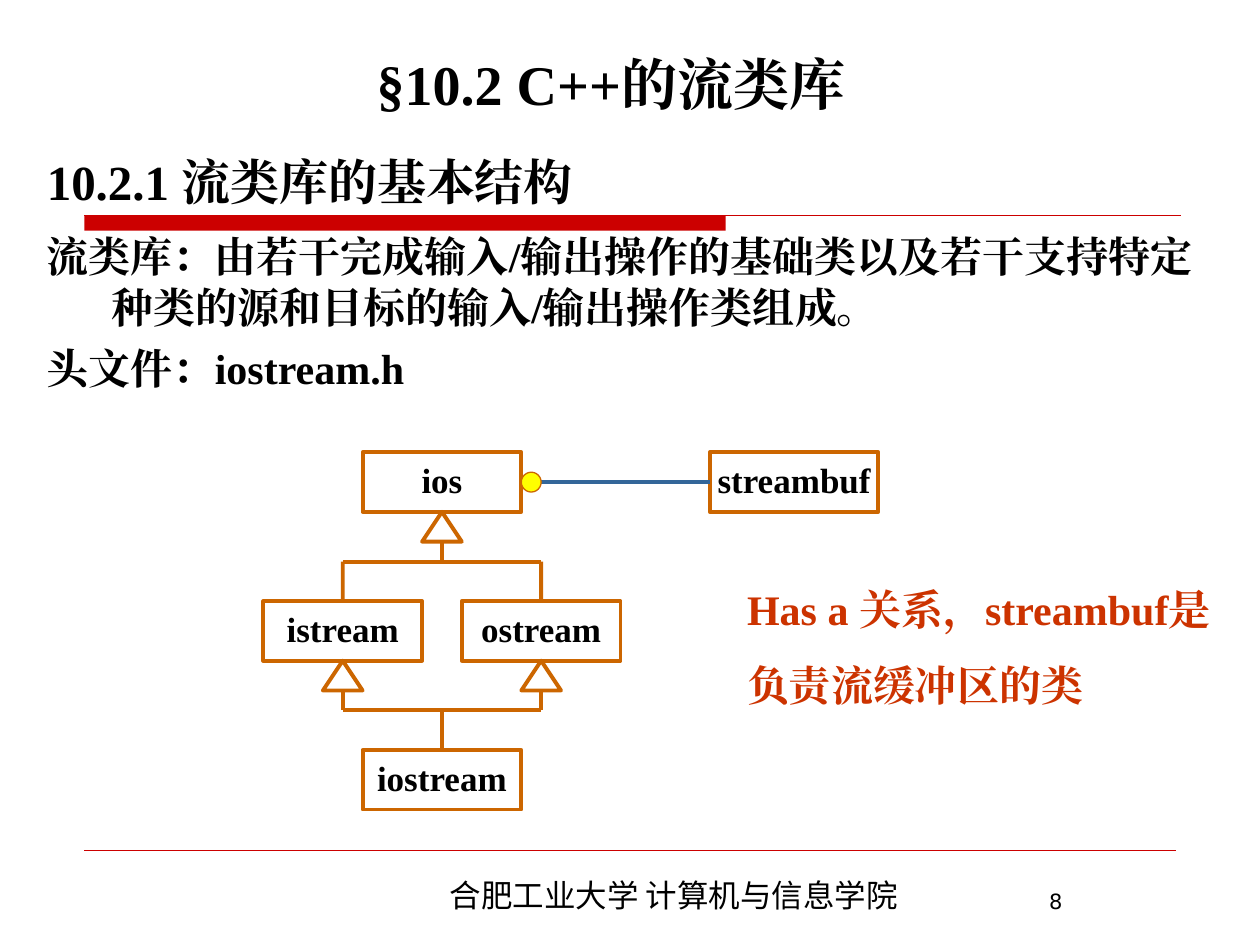
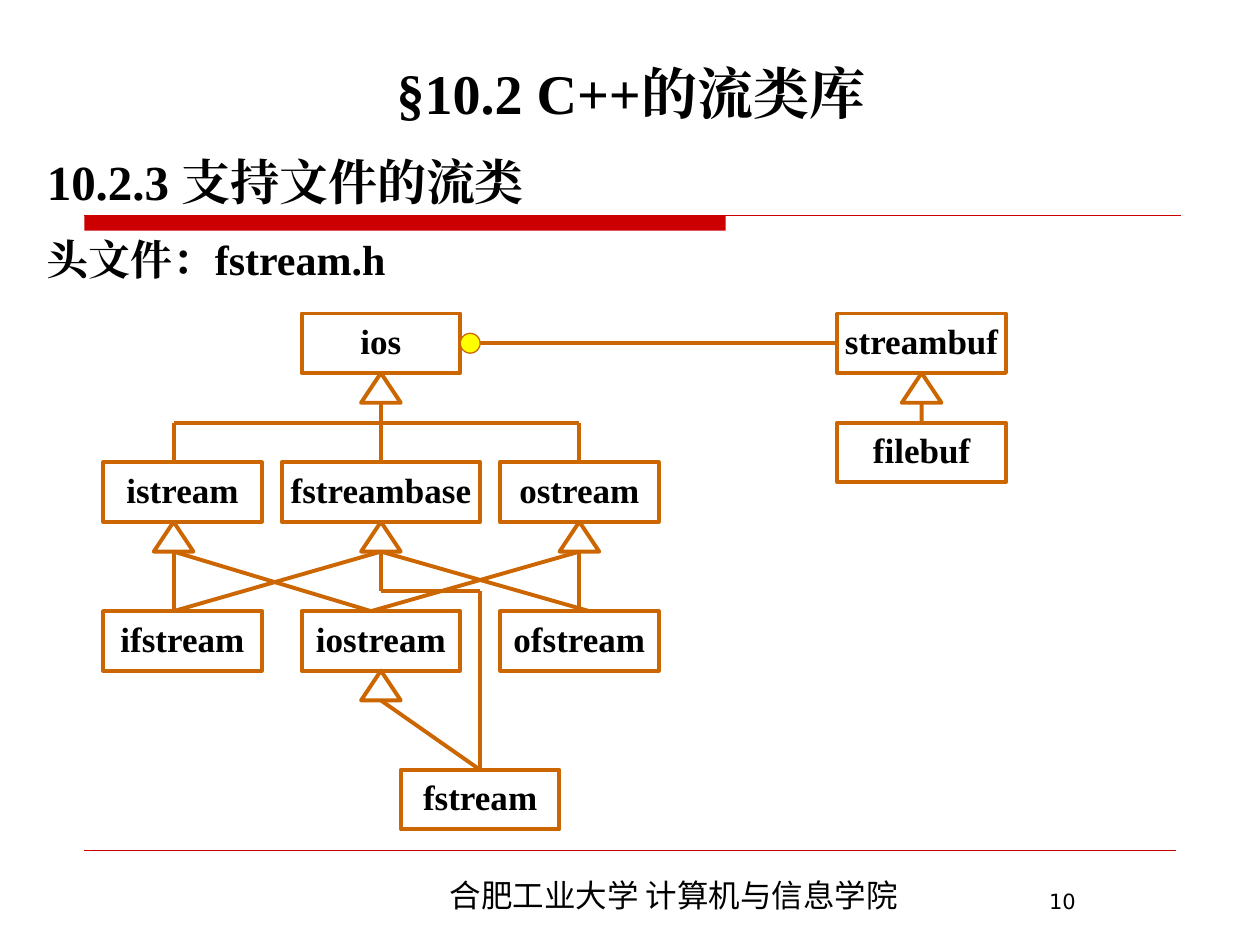
from dataclasses import dataclass
from lxml.etree import SubElement
from pptx import Presentation
from pptx.dml.color import RGBColor
from pptx.enum.shapes import MSO_CONNECTOR as Wire, MSO_SHAPE as Kind
from pptx.enum.text import MSO_ANCHOR as Anchor, MSO_AUTO_SIZE as Fit, PP_ALIGN as Align
from pptx.oxml.ns import qn
from pptx.slide import Slide
from pptx.util import Cm, Pt

SERIF, SANS, DIGIT = "Times New Roman", "Noto Sans CJK SC", "DejaVu Sans"
BLACK, RED, BROWN, BLUE = "000000", "CC0000", "CC6600", "336699"
YELLOW, RUST = "FFFF00", "CC3300"
WIDE, HIGH = 3.2, 1.2
TITLE = "§10.2 C++的流类库"


def tint(code):
    return RGBColor.from_string(code)


def cms(*sizes):
    return [Cm(size) for size in sizes]


def text(frame, words, size=24, color=BLACK, bold=True, font=SERIF,
         align=Align.LEFT, before=0, line=None, hang=0, first=True):
    para = frame.paragraphs[0] if first else frame.add_paragraph()
    if hang:
        props = para._p.get_or_add_pPr()
        props.set("marL", str(Cm(hang)))
        props.set("indent", str(-Cm(hang)))
        SubElement(props, qn("a:buNone"))
    para.alignment = align
    para.space_before = Pt(before)
    if line:
        para.line_spacing = line
    run = para.add_run()
    run.text = words
    face = run.font
    face.size, face.bold, face.name = Pt(size), bold, font
    face.color.rgb = tint(color)
    SubElement(run._r.get_or_add_rPr(), qn("a:ea")).set("typeface", font)


def label(slide, box, words, **style):
    frame = slide.shapes.add_textbox(*cms(*box)).text_frame
    frame.word_wrap = True
    text(frame, words, **style)


def shape(slide, kind, box, fill=None, edge=BROWN, width=2.25):
    item = slide.shapes.add_shape(kind, *cms(*box))
    item.shadow.inherit = False
    if fill:
        item.fill.solid()
        item.fill.fore_color.rgb = tint(fill)
    else:
        item.fill.background()
    if edge:
        item.line.color.rgb = tint(edge)
        item.line.width = Pt(width)
    else:
        item.line.fill.background()
    return item


def rule(slide, start, end, color=BROWN, width=2.25):
    item = slide.shapes.add_connector(Wire.STRAIGHT, *cms(*start, *end))
    item.line.color.rgb = tint(color)
    item.line.width = Pt(width)
    SubElement(item._element.spPr, qn("a:effectLst"))
    return item


@dataclass
class Board:
    slide: Slide
    left: float
    top: float

    def place(self, x, y):
        return self.left + x, self.top + y

    def box(self, name, x, y, wide=WIDE):
        item = shape(self.slide, Kind.RECTANGLE, (*self.place(x, y), wide, HIGH))
        frame = item.text_frame
        frame.margin_left = frame.margin_right = 0
        frame.margin_top = frame.margin_bottom = 0
        frame.word_wrap = False
        frame.vertical_anchor = Anchor.MIDDLE
        text(frame, name, size=20, align=Align.CENTER, line=0.9)
        return item

    def tip(self, x, y):
        shape(self.slide, Kind.ISOSCELES_TRIANGLE, (*self.place(x - 0.4, y), 0.8, 0.6))
        return x, y + 0.6

    def wire(self, start, end, color=BROWN):
        ends = [e if isinstance(e[0], (int, float)) else (0, 0) for e in (start, end)]
        item = rule(self.slide, *[self.place(*e) for e in ends], color=color)
        for side, join in ((start, item.begin_connect), (end, item.end_connect)):
            if not isinstance(side[0], (int, float)):
                join(*side)

    def chain(self, *stops):
        for start, end in zip(stops, stops[1:]):
            self.wire(start, end)

    def owns(self, owner, part, x, color=BROWN):
        self.wire((part, 1), (owner, 3), color)
        dot = (*self.place(x, HIGH / 2 - 0.2), 0.4, 0.4)
        shape(self.slide, Kind.OVAL, dot, fill=YELLOW, width=0.75)


def page(deck, number, spot, tall, lines):
    slide = deck.slides.add_slide(deck.slide_layouts[1])
    shape(slide, Kind.RECTANGLE, (1.7, 4.34, 12.93, 0.31), fill=RED, edge=None)
    rule(slide, (1.7, 4.34), (23.8, 4.34), RED, 0.75)
    rule(slide, (1.7, 17.15), (23.7, 17.15), RED, 0.25)
    label(slide, (5.89, 17.53, 15.39, 1.02), "合肥工业大学 计算机与信息学院",
          size=18, bold=False, font=SANS, align=Align.CENTER)
    label(slide, (20.9, 17.78, 3.81, 0.74), number, size=12, bold=False, font=DIGIT)
    title, body = slide.placeholders
    for item, box in ((title, (*spot, 21.64, 1.96)), (body, (0.69, 2.92, 24.18, tall))):
        item.left, item.top, item.width, item.height = cms(*box)
        item.text_frame.auto_size = Fit.NONE
    title.text_frame.vertical_anchor = Anchor.BOTTOM
    text(title.text_frame, TITLE, size=32, align=Align.CENTER)
    body.text_frame.vertical_anchor = Anchor.TOP
    for rank, (words, size, before) in enumerate(lines):
        text(body.text_frame, words, size=size, before=before, hang=1.3, first=rank == 0)
    return slide


def basic(slide, left, top):
    board = Board(slide, left, top)
    ios = board.box("ios", 2, 0)
    kids = [board.box("istream", 0, 3), board.box("ostream", 4, 3)]
    both = board.box("iostream", 2, 6)
    buf = board.box("streambuf", 9, 0, 3.4)
    mids = (1.6, 5.6)
    board.wire(board.tip(3.6, 1.2), (3.6, 2.2))
    for y in (2.2, 5.2):
        board.wire((mids[0], y), (mids[1], y))
    for mid, kid in zip(mids, kids):
        board.wire((mid, 2.2), (kid, 0))
        board.wire(board.tip(mid, 4.2), (mid, 5.2))
    board.wire((3.6, 5.2), (both, 0))
    board.owns(ios, buf, 5.2, BLUE)


def files(slide, left, top):
    board = Board(slide, left, top)
    ios = board.box("ios", 4, 0)
    board.box("istream", 0, 3)
    base = board.box("fstreambase", 3.6, 3, 4)
    out = board.box("ostream", 8, 3)
    board.box("ifstream", 0, 6)
    board.box("iostream", 4, 6)
    save = board.box("ofstream", 8, 6)
    last = board.box("fstream", 6, 9.2)
    buf = board.box("streambuf", 14.8, 0, 3.4)
    store = board.box("filebuf", 14.8, 2.2, 3.4)
    low, mid, far = 1.42, 5.6, 9.6
    board.chain(board.tip(mid, 1.2), (mid, 2.2), (base, 0))
    board.chain((low, 3), (low, 2.2), (far, 2.2), (out, 0))
    feet = [board.tip(x, 4.2) for x in (low, mid, far)]
    board.chain((low, 6), feet[0], (5.4, 6), feet[2], (save, 0))
    board.chain((low, 6), feet[1], (9.8, 6))
    board.chain(feet[1], (mid, 5.6), (7.6, 5.6), (last, 0))
    board.wire(board.tip(mid, 7.2), (last, 0))
    board.wire(board.tip(16.5, 1.2), (store, 0))
    board.owns(ios, buf, 7.2)


def main():
    deck = Presentation()
    deck.slide_width, deck.slide_height = cms(25.4, 19.05)
    slide = page(deck, "8", (1.5, 0.53), 14.12, [
        ("10.2.1 流类库的基本结构", 28, 0),
        ("流类库：由若干完成输入/输出操作的基础类以及若干支持特定种类的源和目标的输入/输出操作类组成。", 24, 12),
        ("头文件：iostream.h", 24, 6)])
    basic(slide, 5.31, 9.12)
    label(slide, (14.81, 11.13, 10.59, 3.3), "Has a 关系，streambuf是负责流缓冲区的类",
          color=RUST, line=1.5)
    slide = page(deck, "10", (1.9, 0.71), 15.6, [
        ("10.2.3 支持文件的流类", 28, 0),
        ("头文件：fstream.h", 24, 13.5)])
    files(slide, 2.08, 6.32)
    deck.save("out.pptx")


if __name__ == "__main__":
    main()
